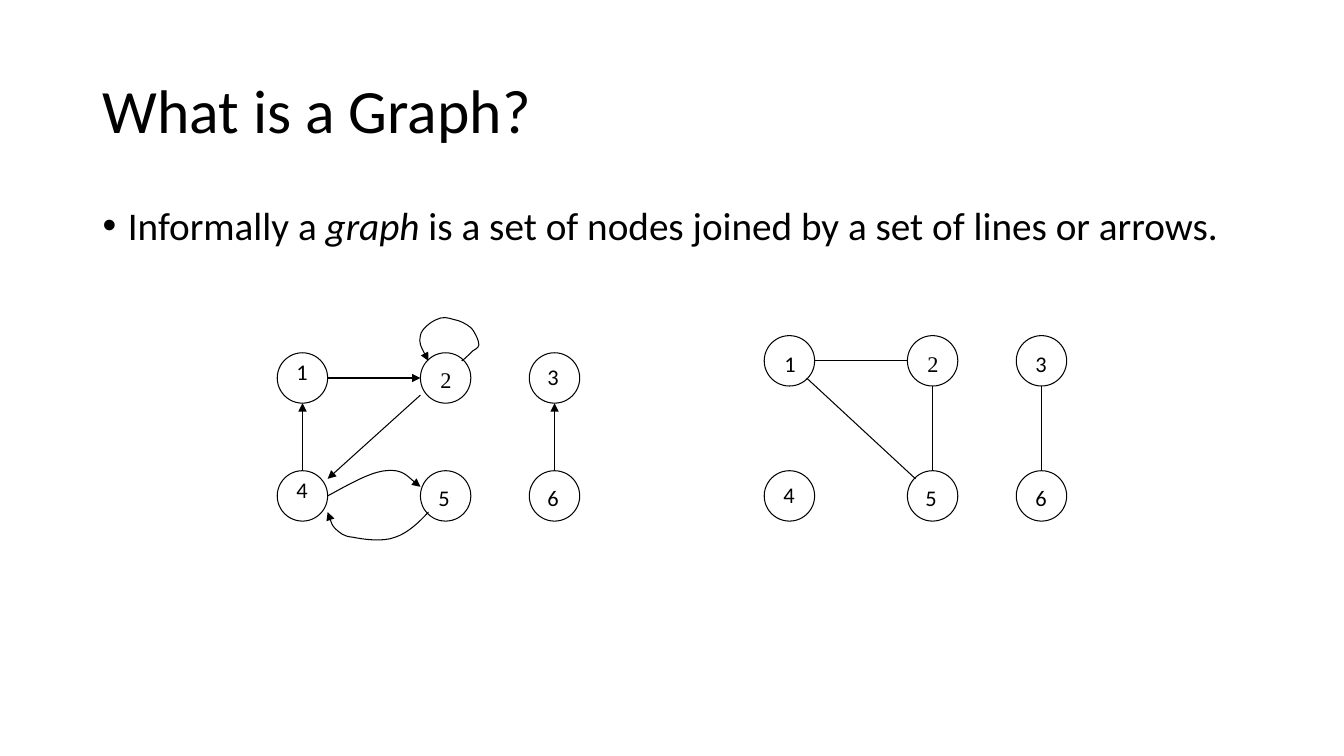
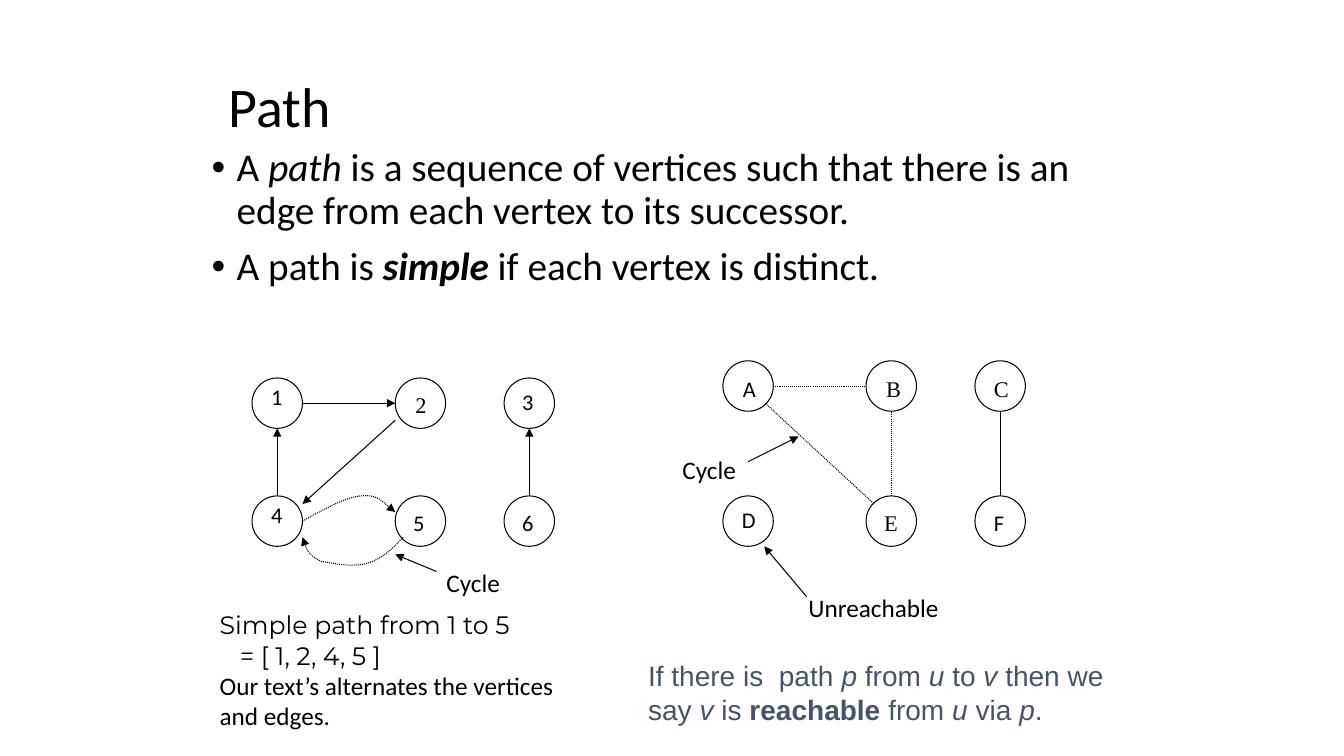
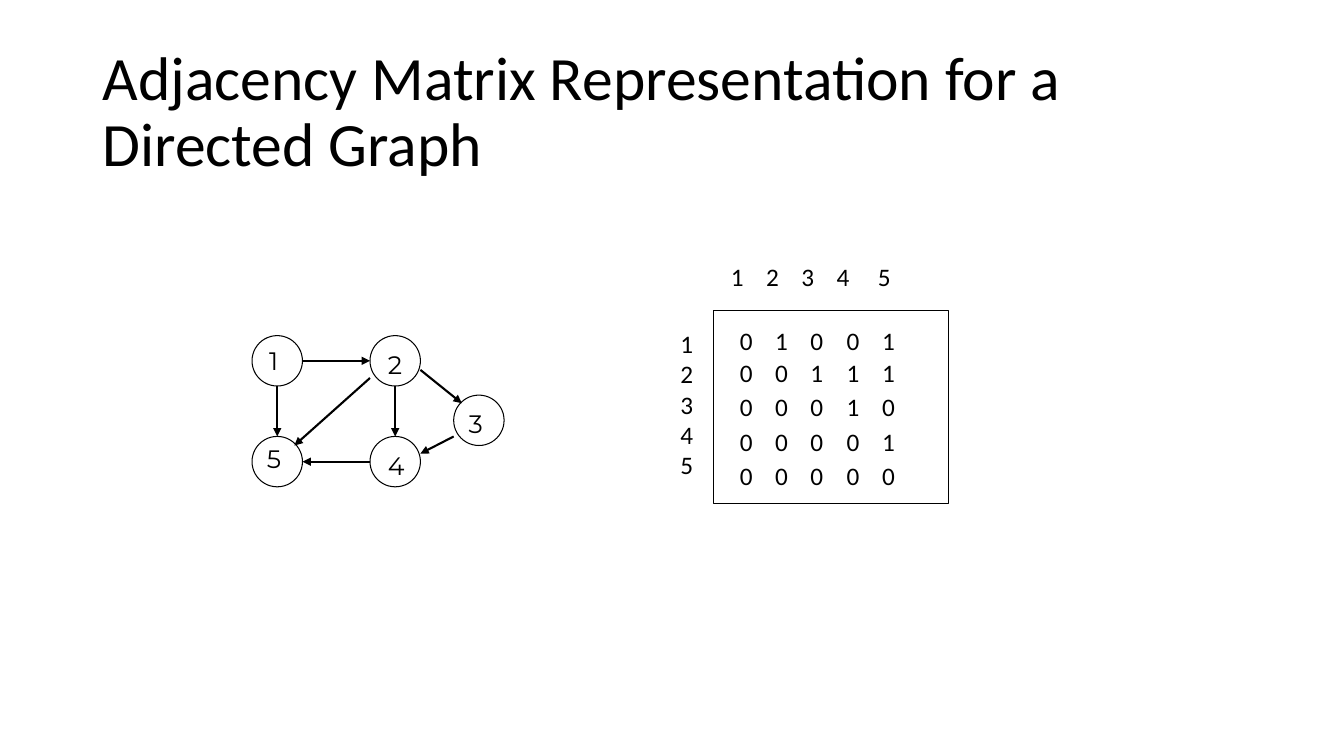
from pptx import Presentation
from pptx.dml.color import RGBColor as Color
from pptx.enum.dml import MSO_LINE as Dash
from pptx.enum.shapes import MSO_CONNECTOR as Conn, MSO_SHAPE as Form
from pptx.enum.text import MSO_ANCHOR as Anchor, MSO_AUTO_SIZE as Auto
from pptx.oxml.ns import qn
from pptx.util import Inches, Pt
from lxml.etree import SubElement as Sub

SERIF = "Times New Roman"
MONT = "Montserrat"


def tint(code):
    return Color.from_string(code)


class Deck:
    ink = "000000"
    slate = "44546A"
    font = "Calibri"
    thin = 0.75
    ring = 0.5

    def __init__(self):
        self.prs = Presentation()
        self.prs.slide_width = Inches(13.33)
        self.prs.slide_height = Inches(7.5)

    def page(self):
        layout = self.prs.slide_layouts[6]
        self.slide = self.prs.slides.add_slide(layout)
        self.shapes = self.slide.shapes

    def text(self, box, paras, size, font=None, ink=None, wrap=False,
             mid=False, lead=None, dot=False, tabs=()):
        shape = self.shapes.add_textbox(*map(Inches, box))
        frame = shape.text_frame
        frame.word_wrap = wrap
        frame.auto_size = Auto.NONE if wrap else Auto.SHAPE_TO_FIT_TEXT
        frame.vertical_anchor = Anchor.MIDDLE if mid else Anchor.TOP
        for i, runs in enumerate(paras):
            para = frame.paragraphs[0] if i == 0 else frame.add_paragraph()
            if lead:
                para.line_spacing = lead
            if dot:
                self.dot(para)
            if tabs:
                stops = Sub(para._p.get_or_add_pPr(), qn("a:tabLst"))
                for stop in tabs:
                    Sub(stops, qn("a:tab"), pos=str(Inches(stop)), algn="l")
            for item in [runs] if isinstance(runs, str) else runs:
                if item == "\n":
                    para.add_line_break()
                    continue
                words, style, face = (item, "", font) if isinstance(item, str) else (*item, font)[:3]
                run = para.add_run()
                run.text = words
                run.font.size = Pt(size)
                run.font.name = face or self.font
                run.font.color.rgb = tint(ink or self.ink)
                run.font.bold = "b" in style
                run.font.italic = "i" in style
        return frame

    def dot(self, para):
        para.space_before = Pt(10)
        props = para._p.get_or_add_pPr()
        props.set("marL", str(Inches(0.25)))
        props.set("indent", str(Inches(-0.25)))
        Sub(props, qn("a:buFont"), typeface="Arial")
        Sub(props, qn("a:buChar"), char="•")

    def title(self, words, box=(0.92, 0.4, 11.5, 1.45), size=44):
        self.text(box, [words], size, wrap=True, mid=True, lead=0.9)

    def body(self, box, paras):
        self.text(box, paras, 28, wrap=True, lead=0.9, dot=True)

    def pen(self, shape, width=thin, arrow=False, dash=False):
        shape.line.color.rgb = tint(self.ink)
        shape.line.width = Pt(width)
        if dash:
            shape.line.dash_style = Dash.ROUND_DOT
        props = shape._element.find(qn("p:spPr"))
        if arrow:
            Sub(props.find(qn("a:ln")), qn("a:tailEnd"), type="triangle")
        if props.find(qn("a:effectLst")) is None:
            Sub(props, qn("a:effectLst"))

    def form(self, kind, box):
        shape = self.shapes.add_shape(kind, *map(Inches, box))
        shape.shadow.inherit = False
        shape.fill.background()
        self.pen(shape)

    def line(self, start, end, **style):
        ends = map(Inches, (*start, *end))
        self.pen(self.shapes.add_connector(Conn.STRAIGHT, *ends), **style)

    def curve(self, x, y, points, **style):
        spots = [(Inches(x + a), Inches(y + b)) for a, b in points]
        maker = self.shapes.build_freeform(*spots[0], scale=1.0)
        maker.add_line_segments(spots[1:], close=False)
        shape = maker.convert_to_shape()
        steps = list(shape._element.iter(qn("a:lnTo")))
        for i in range(0, len(steps), 3):
            bend = Sub(steps[i].getparent(), qn("a:cubicBezTo"))
            for step in steps[i:i + 3]:
                bend.append(step[0])
                step.getparent().remove(step)
        shape.shadow.inherit = False
        shape.fill.background()
        self.pen(shape, **style)

    def node(self, x, y, name, dx, dy, size=16, font=None, side=0.32):
        self.form(Form.OVAL, (x, y, self.ring, self.ring))
        self.text((x + dx, y + dy, side, side + 0.04), [name], size, font)

    def grid(self, x, y, drop, names, serif, shifts):
        for i, (name, shift) in enumerate(zip(names, shifts)):
            row, col = divmod(i, 3)
            self.node(x + (0, 1.42, 2.5)[col], y + row * drop, name, *shift,
                      font=SERIF if name in serif else None)

    def edges(self, x, y, pairs, **style):
        for a, b, c, d in pairs:
            self.line((x + a, y + b), (x + c, y + d), **style)

    def arrows(self, x, y, dash=False):
        self.grid(x, y, 1.17, "123456", "2",
                  [(0.09, 0), (0.1, 0.08), (0.08, 0.05),
                   (0.09, 0), (0.08, 0.08), (0.08, 0.08)])
        self.edges(x, y, [(0.25, 1.17, 0.25, 0.5), (0.5, 0.25, 1.42, 0.25),
                          (1.42, 0.42, 0.5, 1.25), (2.75, 1.17, 2.75, 0.5)],
                   arrow=True)
        for bend in (OVER, UNDER):
            self.curve(x, y, bend, arrow=True, dash=dash)

    def links(self, x, y, names, serif, dash=False):
        self.grid(x, y, 1.34, names, serif,
                  [(0.1, 0.09), (0.1, 0.09), (0.09, 0.09),
                   (0.09, 0.05), (0.08, 0.08), (0.09, 0.08)])
        self.edges(x, y, [(0.42, 0.42, 1.5, 1.42), (0.5, 0.25, 1.42, 0.25),
                          (1.67, 1.34, 1.67, 0.5)], dash=dash)
        self.edges(x, y, [(2.75, 1.34, 2.75, 0.5)])


OVER = [(0.5, 1.42), (0.72, 1.3), (0.93, 1.18), (1.08, 1.17),
        (1.24, 1.15), (1.36, 1.29), (1.42, 1.33)]
UNDER = [(1.5, 1.58), (1.4, 1.69), (1.29, 1.79), (1.17, 1.83),
         (1.04, 1.88), (0.85, 1.85), (0.75, 1.83),
         (0.65, 1.82), (0.63, 1.79), (0.58, 1.75),
         (0.54, 1.71), (0.51, 1.61), (0.5, 1.58)]
LOOP = [(1.83, 0.08), (1.85, 0.07), (1.89, 0.03), (1.92, 0),
        (1.94, -0.03), (2, -0.04), (2, -0.08),
        (2, -0.12), (1.96, -0.21), (1.92, -0.25),
        (1.87, -0.29), (1.81, -0.32), (1.75, -0.33),
        (1.69, -0.35), (1.64, -0.36), (1.58, -0.33),
        (1.53, -0.31), (1.43, -0.24), (1.42, -0.17),
        (1.4, -0.1), (1.45, -0.01), (1.5, 0.08)]


def graph(deck):
    deck.page()
    deck.title("What is a Graph?")
    deck.body((0.92, 2, 11.5, 4.76), [
        ["Informally a ", ("graph", "i"),
         " is a set of nodes joined by a set of lines or arrows."]])
    deck.arrows(2.75, 3.5)
    deck.curve(2.75, 3.5, LOOP, arrow=True)
    deck.links(7.58, 3.33, "123456", "2")


def route(deck):
    deck.page()
    deck.title("Path", (2.17, 0.42, 9.17, 1.33), 40)
    deck.body((2, 1.42, 9, 2.25), [
        ["A ", ("path", "i"), " is a sequence of vertices such that there is"
         " an edge from each vertex to its successor."],
        ["A path is ", ("simple", "bi"), " if each vertex is distinct."]])
    deck.arrows(2.5, 3.75, dash=True)
    deck.links(7.17, 3.58, "ABCDEF", "BCE", dash=True)
    for start, end in [((4.33, 5.67), (3.92, 5.5)), ((8, 5.92), (7.58, 5.42)),
                       ((7.42, 4.58), (7.92, 4.33))]:
        deck.line(start, end, arrow=True)
    for x, y, w, word in [(4.33, 5.58, 0.74, "Cycle"), (6.67, 4.46, 0.74, "Cycle"),
                          (7.92, 5.83, 1.51, "Unreachable")]:
        deck.text((x, y, w, 0.4), [word], 18)
    frame = deck.text((2.08, 6, 3.55, 1.31), [
        [("Simple path from 1 to 5", "", MONT)],
        [("= [ 1, 2, 4, 5 ]", "", MONT)],
        ["Our text’s alternates the vertices", "\n", "and edges."]], 18)
    frame.paragraphs[1]._p.get_or_add_pPr().set("marL", str(Inches(0.2)))
    deck.text((6.33, 6.58, 4.75, 0.58), [
        ["If there is  path ", ("p", "i"), " from ", ("u", "i"), " to ",
         ("v", "i"), " then we say ", ("v", "i"), " is ", ("reachable", "b"),
         " from ", ("u", "i"), " via ", ("p", "i"), "."]],
        20, "Arial", deck.slate, wrap=True, mid=True)


def matrix(deck):
    deck.page()
    deck.title("Adjacency Matrix Representation for a Directed Graph")
    deck.text((7.15, 2.54, 1.83, 0.4), ["\t".join("12345")], 18, wrap=True,
              tabs=(0.35, 0.7, 1.05, 1.46))
    deck.text((6.65, 3.21, 0.34, 1.6), list("12345"), 18)
    deck.form(Form.RECTANGLE, (7.08, 3.08, 2.33, 1.92))
    rows = "01001", "00111", "00010", "00001", "00000"
    for y, row in zip((3.18, 3.5, 3.83, 4.18, 4.52), rows):
        deck.text((7.24, y, 1.77, 0.4), ["\t".join(row)], 18, wrap=True,
                  tabs=(0.35, 0.7, 1.06, 1.41))
    for x, y, name, dx, dy in [
            (2.5, 3.33, "1", 0.07, 0.05), (2.5, 4.33, "5", 0.05, 0.02),
            (3.67, 3.33, "2", 0.08, 0.09), (3.67, 4.33, "4", 0.08, 0.09),
            (4.5, 3.92, "3", 0.05, 0.08)]:
        deck.node(x, y, name, dx, dy, 18, MONT, 0.37)
    deck.edges(0, 0, [
        (3.67, 3.75, 2.92, 4.42), (2.75, 3.83, 2.75, 4.33),
        (3, 3.58, 3.67, 3.58), (3.67, 4.58, 3, 4.58),
        (3.92, 3.83, 3.92, 4.33), (4.17, 3.67, 4.58, 4),
        (4.5, 4.33, 4.17, 4.5)], width=1.5, arrow=True)


def main():
    deck = Deck()
    for draw in (graph, route, matrix):
        draw(deck)
    deck.prs.save("out.pptx")


if __name__ == "__main__":
    main()
